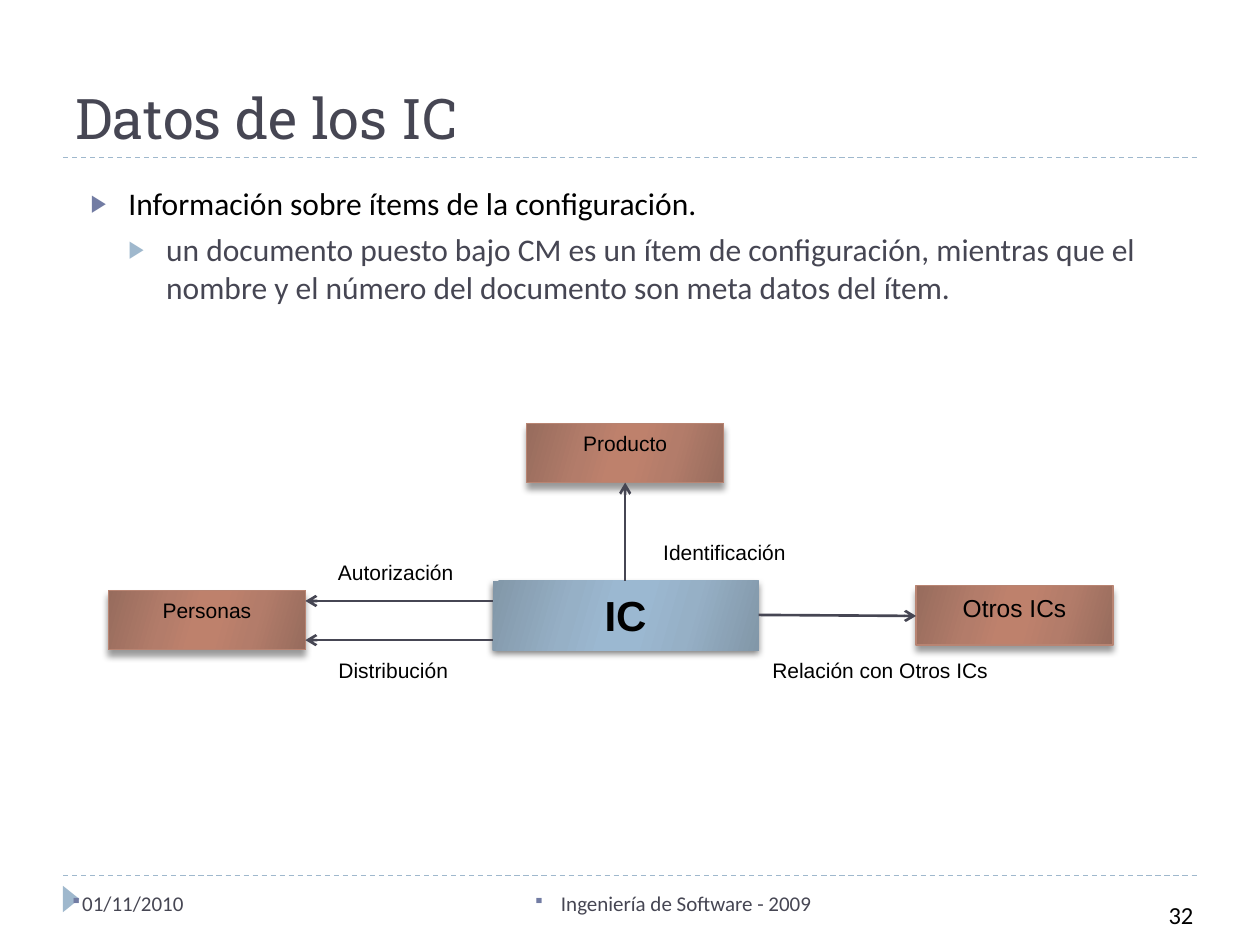
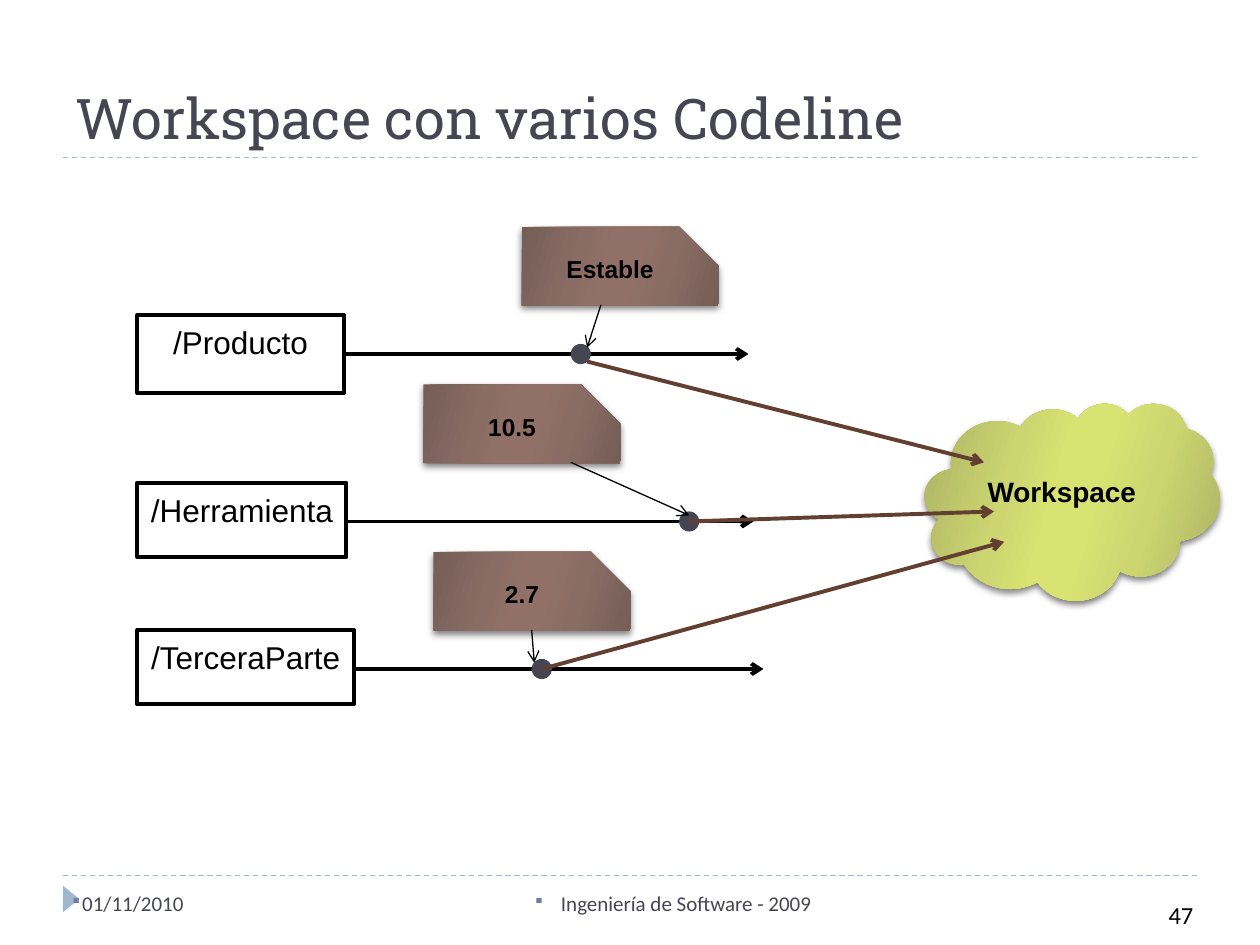
from dataclasses import dataclass
from typing import NamedTuple, Optional

from pptx import Presentation
from pptx.dml.color import RGBColor
from pptx.enum.dml import MSO_LINE
from pptx.enum.shapes import MSO_CONNECTOR, MSO_SHAPE as Preset
from pptx.enum.text import MSO_ANCHOR as Anchor, MSO_AUTO_SIZE as AutoSize, PP_ALIGN as Align
from pptx.oxml.ns import qn
from pptx.util import Pt

COLORS = {
    "black": "000000",
    "ink": "464653",
    "rule": "9FB8CD",
    "bullet": "727CA3",
    "border": "B88472",
    "merge": "633F32",
}
# Edge, middle and centre colour of each mirrored gradient
GRADIENTS = {
    "blue": ("8297A8", "96B0C6", "9BB8D1"),
    "copper": ("976C5D", "B37C6A", "BE816C"),
    "brown": ("745E57", "896D64", "917167"),
    "lime": ("ACB264", "CCD570", "D9E371"),
}
GRADIENT_STOPS = ((0, 0), (30, 1), (45, 2), (55, 2), (73, 1), (100, 0))
GRADIENT_ANGLE = 16
TITLE_FONT, BODY_FONT, DIAGRAM_FONT = "Roboto Slab", "Calibri", "Arial"
TITLE_ONLY, TITLE_AND_BODY = 5, 1


class Point(NamedTuple):
    x: float
    y: float


class Box(NamedTuple):
    left: float
    top: float
    width: float
    height: float

    @property
    def right(self) -> float:
        return self.left + self.width


class Style(NamedTuple):
    size: float
    font: str = DIAGRAM_FONT
    color: str = "black"
    bold: bool = False


class Shadow(NamedTuple):
    opacity: int
    blur: float
    distance: float


SOFT = Shadow(50, 4, 2)
DEEP = Shadow(40, 4, 3.4)


@dataclass
class Node:
    text: str
    box: Box
    style: Style
    gradient: Optional[str] = None
    preset: Preset = Preset.RECTANGLE
    shadow: Optional[Shadow] = None
    border: Optional[str] = None
    border_width: float = 0.75
    wrap: bool = True
    top_inset: float = 3.6


@dataclass
class Arrow:
    start: Point
    end: Point
    color: str
    width: float


@dataclass
class Codeline:
    name: str
    box: Box
    y: float
    end_x: float
    version: str
    tag: Point
    dot_x: float
    pointer: tuple[Point, Point]
    merge: tuple[Point, Point]
    wrap: bool = False


def rgb(name: str) -> RGBColor:
    return RGBColor.from_string(COLORS[name])


def points(values) -> list:
    return [Pt(value) for value in values]


def child(parent, tag: str, **attributes):
    element = parent.makeelement(qn(tag), {k: str(v) for k, v in attributes.items()})
    parent.append(element)
    return element


def format_text(paragraph, style: Style, align: Align = Align.LEFT) -> None:
    paragraph.alignment = align
    for run in paragraph.runs:
        font = run.font
        font.size, font.name, font.bold = Pt(style.size), style.font, style.bold
        font.color.rgb = rgb(style.color)


def add_bullet(paragraph, symbol: str, color: str, left: float, hanging: float) -> None:
    properties = paragraph._p.get_or_add_pPr()
    properties.set("marL", str(Pt(left)))
    properties.set("indent", str(-Pt(hanging)))
    child(child(properties, "a:buClr"), "a:srgbClr", val=COLORS[color])
    child(properties, "a:buSzPct", val=76000)
    child(properties, "a:buChar", char=symbol)


def add_text(slide, text: str, box: Box, style: Style, align: Align = Align.LEFT, wrap: bool = True):
    frame = slide.shapes.add_textbox(*points(box)).text_frame
    frame.word_wrap = wrap
    frame.text = text
    paragraph = frame.paragraphs[0]
    format_text(paragraph, style, align)
    return paragraph


def add_line(slide, start: Point, end: Point, color: str, width: float):
    connector = slide.shapes.add_connector(MSO_CONNECTOR.STRAIGHT, *points((*start, *end)))
    connector.line.color.rgb = rgb(color)
    connector.line.width = Pt(width)
    child(connector._element.spPr, "a:effectLst")
    return connector


def add_arrow(slide, arrow: Arrow) -> None:
    connector = add_line(slide, arrow.start, arrow.end, arrow.color, arrow.width)
    child(connector.line._get_or_add_ln(), "a:tailEnd", type="arrow")


def add_solid(slide, preset: Preset, box: Box, color: str):
    shape = slide.shapes.add_shape(preset, *points(box))
    shape.shadow.inherit = False
    shape.fill.solid()
    shape.fill.fore_color.rgb = rgb(color)
    shape.line.fill.background()
    return shape


def fill_gradient(shape, name: str) -> None:
    shape.fill.gradient()
    shape.fill.gradient_angle = 360 - GRADIENT_ANGLE
    stops = shape._element.spPr.find(".//" + qn("a:gsLst"))
    for stop in list(stops):
        stops.remove(stop)
    for position, tone in GRADIENT_STOPS:
        stop = child(stops, "a:gs", pos=position * 1000)
        child(stop, "a:srgbClr", val=GRADIENTS[name][tone])


def add_shadow(shape, shadow: Shadow) -> None:
    effects = shape._element.spPr.find(qn("a:effectLst"))
    outer = child(effects, "a:outerShdw", blurRad=Pt(shadow.blur), dist=Pt(shadow.distance),
                  dir=90 * 60000, rotWithShape=0)
    color = child(outer, "a:srgbClr", val=COLORS["black"])
    child(color, "a:alpha", val=shadow.opacity * 1000)


def add_node(slide, node: Node) -> None:
    shape = slide.shapes.add_shape(node.preset, *points(node.box))
    shape.shadow.inherit = False
    if node.preset == Preset.SNIP_1_RECTANGLE:
        shape.adjustments[0] = 0.5
    if node.gradient:
        fill_gradient(shape, node.gradient)
    else:
        shape.fill.background()
    if node.border:
        shape.line.color.rgb = rgb(node.border)
        shape.line.width = Pt(node.border_width)
    else:
        shape.line.fill.background()
    if node.shadow:
        add_shadow(shape, node.shadow)
    frame = shape.text_frame
    frame.word_wrap = node.wrap
    frame.vertical_anchor = Anchor.TOP
    frame.margin_top = Pt(node.top_inset)
    frame.text = node.text
    frame.paragraphs[0].line_spacing = 1.05
    format_text(frame.paragraphs[0], node.style, Align.CENTER)


def place(placeholder, box: Box, anchor: Anchor):
    placeholder.left, placeholder.top, placeholder.width, placeholder.height = points(box)
    frame = placeholder.text_frame
    frame.auto_size = AutoSize.NONE
    frame.vertical_anchor = anchor
    return frame


def new_slide(deck, layout: int, title: str, number: int):
    """Add a slide with the shared rules, title and footer."""
    slide = deck.slides.add_slide(deck.slide_layouts[layout])
    for y in (500.4, 90):
        rule = add_line(slide, Point(36, y), Point(684, y), "rule", 0.75)
        rule.line.dash_style = MSO_LINE.DASH
    marker = add_solid(slide, Preset.ISOSCELES_TRIANGLE, Box(33.1, 509, 15.1, 9.4), "rule")
    marker.rotation = 90

    frame = place(slide.shapes.title, Box(36, 12.2, 648, 77.8), Anchor.BOTTOM)
    frame.text = title
    format_text(frame.paragraphs[0], Style(32, TITLE_FONT, "ink"))

    footer = Style(12, BODY_FONT, "ink")
    date = add_text(slide, "01/11/2010", Box(33.1, 505.4, 167.8, 28.8), footer)
    add_bullet(date, "▪", "bullet", 5.4, 5.4)
    course = add_text(slide, "Ingeniería de Software - 2009", Box(242.6, 505.4, 228.2, 28.8),
                      footer, Align.RIGHT)
    add_bullet(course, "▪", "bullet", 16, 16)
    add_text(slide, str(number), Box(551.5, 510.5, 137.5, 23.8), Style(14, BODY_FONT), Align.RIGHT)
    return slide


def build_item_data(deck) -> None:
    slide = new_slide(deck, TITLE_AND_BODY, "Datos de los IC", 32)
    frame = place(slide.placeholders[1], Box(44.6, 101.5, 635.8, 84.2), Anchor.TOP)
    points_made = (
        ("Información sobre ítems de la configuración.", "black", "bullet", 0),
        ("un documento puesto bajo CM es un ítem de configuración, mientras que el "
         "nombre y el número del documento son meta datos del ítem.", "ink", "rule", 5),
    )
    frame.text = "\n".join(text for text, *_ in points_made)
    for level, (_, color, bullet, gap) in enumerate(points_made):
        paragraph = frame.paragraphs[level]
        paragraph.level = level
        paragraph.space_before = Pt(gap)
        add_bullet(paragraph, "▶", bullet, 21.6 * (level + 1), 21.6)
        format_text(paragraph, Style(18, BODY_FONT, color))

    item = Box(281.5, 332, 152, 39.6)
    add_node(slide, Node("IC", item, Style(24, bold=True), "blue", shadow=SOFT))
    related = (("Personas", 62, 337.5, 12), ("Otros ICs", 523.5, 334.8, 14), ("Producto", 301, 242, 12))
    for text, left, top, size in related:
        add_node(slide, Node(text, Box(left, top, 112.5, 33.8), Style(size), "copper",
                             shadow=DEEP, border="border"))
    relations = (
        (Point(357.25, item.top), Point(357.25, 275.8)),
        (Point(item.left, 343.4), Point(174.5, 343.4)),
        (Point(item.left, 365.8), Point(174.5, 365.8)),
        (Point(item.right, 351.4), Point(523.5, 352)),
    )
    for start, end in relations:
        add_arrow(slide, Arrow(start, end, "ink", 1.5))
    labels = (
        ("Identificación", 371.5, 303.8, 85),
        ("Relación con Otros ICs", 433.5, 371.5, 139),
        ("Autorización", 185.8, 315.4, 80.6),
        ("Distribución", 185.8, 371.5, 77.8),
    )
    for text, left, top, width in labels:
        label = add_text(slide, text, Box(left, top, width, 21.8), Style(12), Align.CENTER, wrap=False)
        label.line_spacing = 1.05


def build_workspace(deck) -> None:
    slide = new_slide(deck, TITLE_ONLY, "Workspace con varios Codeline", 47)
    add_node(slide, Node("Workspace", Box(528.5, 230.4, 168.5, 112.5), Style(16, bold=True), "lime",
                         Preset.CLOUD, SOFT, top_inset=23))
    codelines = (
        Codeline("/Producto", Box(78.5, 180, 118, 44.6), 202.3, 427.7, "Estable", Point(298, 129.6), 331.9,
                 (Point(343.4, 174.2), Point(335.5, 198.7)),
                 (Point(335.5, 206.6), Point(562.3, 264.2)), wrap=True),
        Codeline("/Herramienta", Box(78.5, 275.8, 119.5, 42.5), 298, 430.6, "10.5", Point(242, 219.6), 393.8,
                 (Point(326.2, 264.2), Point(393.8, 294.5)),
                 (Point(393.8, 298), Point(568, 292.3))),
        Codeline("/TerceraParte", Box(78.5, 360, 123.8, 42.5), 382.3, 436.3, "2.7", Point(247.7, 315.4), 309.6,
                 (Point(303.8, 360), Point(305.3, 378.7)),
                 (Point(309.6, 382.3), Point(573.8, 309.6))),
    )
    dot = 11.5
    for line in codelines:
        add_node(slide, Node(line.name, line.box, Style(18), border="black", border_width=2.25,
                             wrap=line.wrap))
        add_arrow(slide, Arrow(Point(line.box.right, line.y), Point(line.end_x, line.y), "black", 2.25))
        add_node(slide, Node(line.version, Box(*line.tag, 112.5, 45), Style(14, bold=True), "brown",
                             Preset.SNIP_1_RECTANGLE, SOFT))
        add_solid(slide, Preset.OVAL, Box(line.dot_x - dot / 2, line.y - dot / 2, dot, dot), "ink")
        add_arrow(slide, Arrow(*line.pointer, "black", 0.75))
        add_arrow(slide, Arrow(*line.merge, "merge", 2.25))


def main() -> None:
    deck = Presentation()
    deck.slide_width, deck.slide_height = Pt(720), Pt(540)
    build_item_data(deck)
    build_workspace(deck)
    deck.save("out.pptx")


if __name__ == "__main__":
    main()
